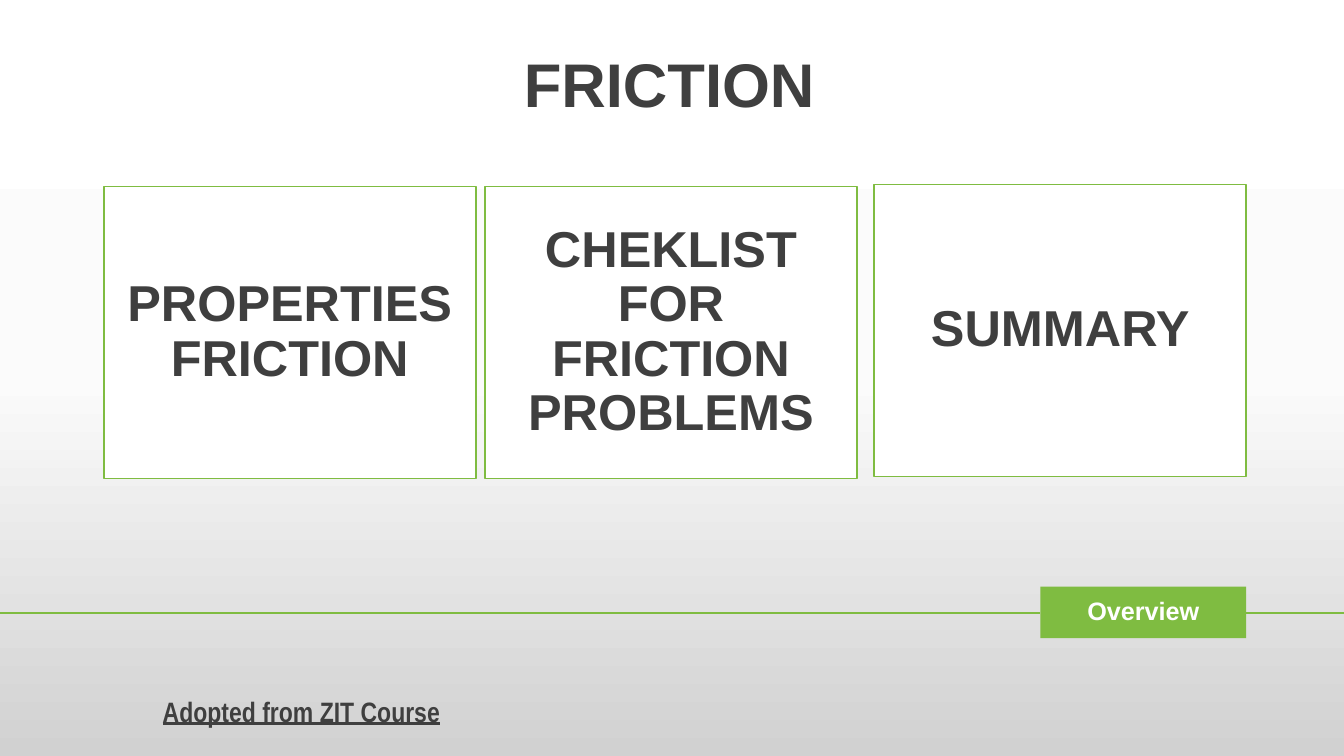
import copy
from dataclasses import dataclass

import pptx
import pptx.dml.color
import pptx.enum.shapes
import pptx.enum.text
import pptx.oxml
import pptx.oxml.ns
import pptx.util

Inches = pptx.util.Inches
Pt = pptx.util.Pt
qn = pptx.oxml.ns.qn


@dataclass(frozen=True)
class Theme:
    green: str = "7FBC41"
    dark: str = "3F3F3F"
    white: str = "FFFFFF"
    fade: tuple = ((0, "FFFFFF"), (50, "FBFBFB"), (100, "D1D1D1"))
    font: str = "Arial"
    narrow: str = "Arial Narrow"
    title: int = 44
    card: int = 36
    note: int = 20
    tag: int = 18


THEME = Theme()


def rgb(code):
    return pptx.dml.color.RGBColor.from_string(code)


def shade(slide):
    fill = slide.background.fill
    fill.gradient()
    fill.gradient_angle = 270
    stops = next(slide.element.iter(qn("a:gsLst")))
    model = copy.deepcopy(stops[0])
    for stop in list(stops):
        stops.remove(stop)
    for place, code in THEME.fade:
        stop = copy.deepcopy(model)
        stop.set("pos", str(place * 1000))
        for child in list(stop):
            stop.remove(child)
        color = pptx.oxml.parse_xml(
            '<a:srgbClr xmlns:a="http://schemas.openxmlformats.org/'
            f'drawingml/2006/main" val="{code}"/>')
        stop.append(color)
        stops.append(stop)


def write(shape, text, size, color=THEME.dark, font=THEME.font, space=0.9):
    frame = shape.text_frame
    frame.word_wrap = True
    frame.vertical_anchor = pptx.enum.text.MSO_ANCHOR.MIDDLE
    frame.text = text
    para = frame.paragraphs[0]
    para.alignment = pptx.enum.text.PP_ALIGN.CENTER
    para.line_spacing = space
    para.font.name = font
    para.font.size = Pt(size)
    para.font.bold = True
    para.font.color.rgb = rgb(color)
    return para


def label(slide, box, text, size, **style):
    shape = slide.shapes.add_textbox(*map(Inches, box))
    return write(shape, text, size, **style)


def panel(slide, box, fill, line=None):
    kind = pptx.enum.shapes.MSO_SHAPE.RECTANGLE
    shape = slide.shapes.add_shape(kind, *map(Inches, box))
    shape.shadow.inherit = False
    shape.fill.solid()
    shape.fill.fore_color.rgb = rgb(fill)
    if line:
        shape.line.color.rgb = rgb(line)
        shape.line.width = Pt(1)
    else:
        shape.line.fill.background()
    return shape


def rule(slide, start, end, top):
    kind = pptx.enum.shapes.MSO_CONNECTOR.STRAIGHT
    line = slide.shapes.add_connector(
        kind, Inches(start), Inches(top), Inches(end), Inches(top))
    line.line.color.rgb = rgb(THEME.green)
    line.line.width = Pt(1.5)
    props = line.element.find(qn("p:spPr"))
    props.append(pptx.oxml.parse_xml(
        '<a:effectLst xmlns:a="http://schemas.openxmlformats.org/'
        'drawingml/2006/main"/>'))


def main():
    deck = pptx.Presentation()
    deck.slide_width = Inches(13.33)
    deck.slide_height = Inches(7.5)
    slide = deck.slides.add_slide(deck.slide_layouts[6])
    shade(slide)

    tag = panel(slide, (10.32, 5.82, 2.04, 0.51), THEME.green)
    write(tag, "Overview", THEME.tag, color=THEME.white)
    for start, end in ((0, 10.32), (12.36, 13.33)):
        rule(slide, start, end, 6.08)

    note = label(slide, (1.37, 6.7, 3.24, 0.54), "Adopted from ZIT Course",
                 THEME.note, font=THEME.narrow, space=1.5)
    note.font.underline = True
    label(slide, (0.89, 0.41, 11.5, 0.91), "FRICTION", THEME.title)

    cards = (
        (1.03, 1.85, "PROPERTIES FRICTION"),
        (4.81, 1.85, "CHEKLIST FOR FRICTION PROBLEMS"),
        (8.67, 1.83, "SUMMARY"),
    )
    for left, top, text in cards:
        card = panel(slide, (left, top, 3.69, 2.9), THEME.white, THEME.green)
        write(card, text, THEME.card)

    deck.save("out.pptx")


if __name__ == "__main__":
    main()
